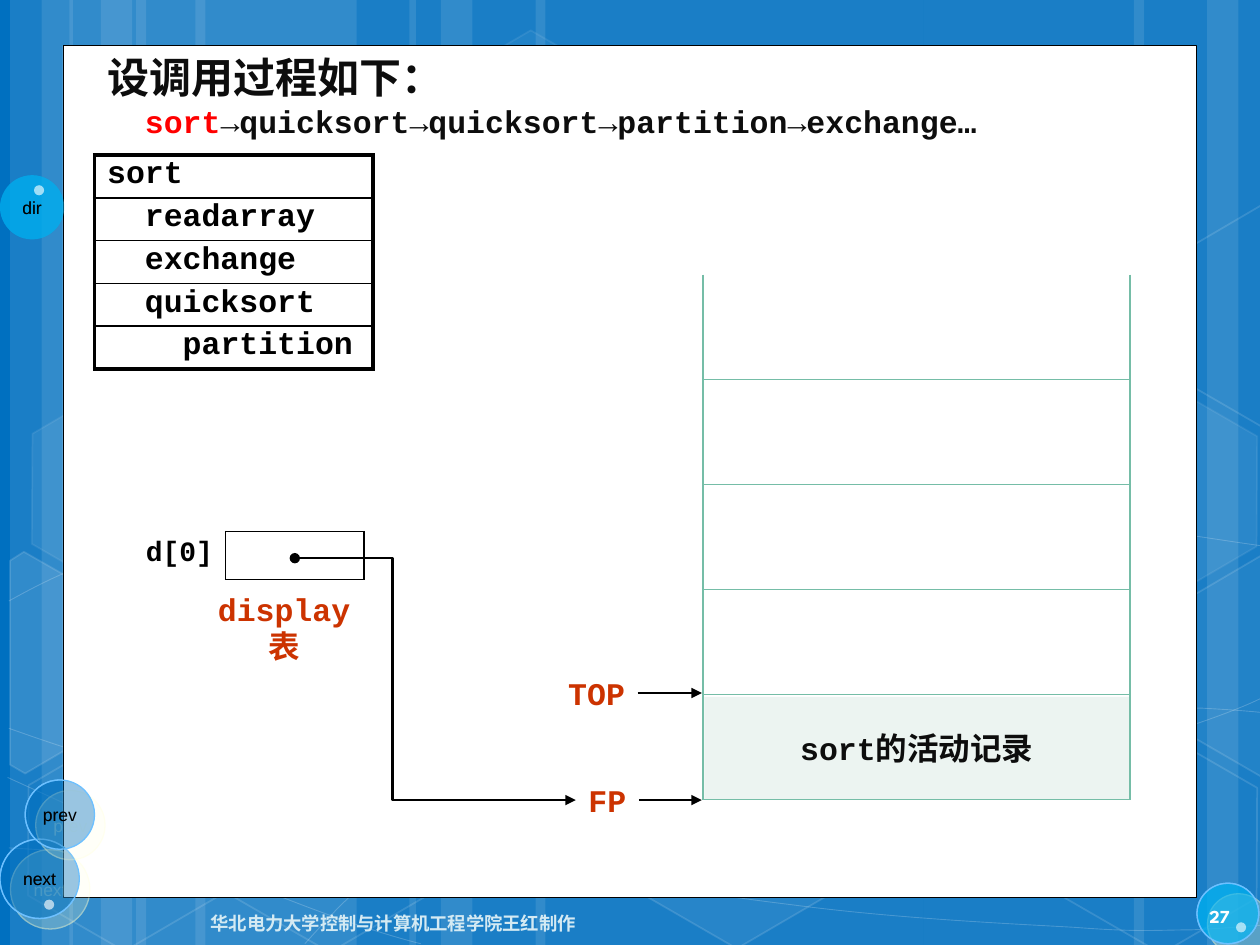
from lxml.etree import SubElement
from pptx import Presentation
from pptx.dml.color import RGBColor
from pptx.enum.shapes import MSO_CONNECTOR, MSO_SHAPE
from pptx.enum.text import MSO_ANCHOR, MSO_AUTO_SIZE, PP_ALIGN
from pptx.oxml.ns import qn
from pptx.util import Inches, Pt

BLACK, WHITE, RED, INK, TEAL = "000000", "FFFFFF", "CC3300", "0D0D0D", "75BDA7"
LEFT, CENTER, RIGHT = PP_ALIGN.LEFT, PP_ALIGN.CENTER, PP_ALIGN.RIGHT
CODE = {"name": "Courier New", "size": Pt(18), "bold": True}
FOOTER = {"name": "League Spartan", "size": Pt(10.5), "bold": True}
BUTTON = {"name": "Arial", "size": Pt(10)}
PLAIN_TABLE = "{2D5ABB26-0587-4C30-8999-92F81FD0307C}"

# left, width of the full-height background stripes
STRIPES = [(1.08, 1.75), (0.08, 0.5), (0.33, 0.83), (1.55, 1.75), (0.55, 0.5), (0.8, 0.83),
           (7.33, 1.75), (9.58, 0.5), (9, 0.83), (4.25, 3.08), (3.25, 0.5), (3.5, 0.83)]
# start point, then two control points and an end point for each cubic segment
CURVES = [
    [(0.07, 6.73), (0.61, 6.76), (1.15, 6.79), (1.9, 6.78), (2.65, 6.77), (3.58, 6.75), (4.58, 6.65),
     (5.58, 6.55), (7, 6.36), (7.92, 6.17), (8.83, 5.98), (9.77, 5.68), (10.07, 5.51)],
    [(0.07, 4.77), (0.36, 4.61), (0.65, 4.46), (1.21, 4.31), (1.78, 4.16), (2.59, 3.94), (3.47, 3.87),
     (4.36, 3.8), (5.44, 3.79), (6.54, 3.87), (7.64, 3.95), (9.47, 4.26), (10.07, 4.34)],
    [(0.06, 6.17), (1.27, 6.72), (2.47, 7.27), (3.34, 7.49)],
    [(0.07, 5.78), (0.38, 5.89), (0.7, 6), (1.28, 6.16), (1.86, 6.31), (2.73, 6.56), (3.57, 6.73),
     (4.4, 6.9), (5.45, 7.08), (6.28, 7.18), (7.11, 7.29), (8, 7.33), (8.53, 7.36),
     (9.05, 7.4), (9.19, 7.38), (9.45, 7.38), (9.71, 7.37), (9.89, 7.35), (10.07, 7.34)],
    [(2.42, 7.49), (2.6, 7.29), (2.78, 7.09), (3.02, 6.91), (3.26, 6.73), (3.6, 6.53), (3.88, 6.39),
     (4.16, 6.25), (4.33, 6.19), (4.7, 6.09), (5.06, 5.99), (5.73, 5.85), (6.08, 5.78),
     (6.44, 5.71), (6.49, 5.71), (6.8, 5.69), (7.11, 5.66), (7.6, 5.63), (7.94, 5.62),
     (8.29, 5.61), (8.86, 5.62), (8.86, 5.62), (9.1, 5.62), (9.3, 5.62), (9.53, 5.62),
     (9.71, 5.63), (9.88, 5.64), (10.06, 5.66)],
]
# left, top, fill opacity, line opacity
HEXAGONS = [(3.34, 0.36, 4, 8), (4.97, 5.89, 6, 12), (0.11, 5.91, 0, 12), (0.14, 3.12, 7, 8),
            (1.74, 5.92, 0, 12), (8.34, 5.93, 0, 12), (8.34, 3.14, 7, 8)]
# points, fill opacity
CUT_HEXAGONS = [
    ([(0.08, 4.45), (0.19, 4.38), (0.96, 4.82), (0.95, 5.7), (0.2, 6.14), (0.08, 6.07)], 10),
    ([(9.26, 4.85), (10.01, 4.41), (10.09, 4.46), (10.09, 6.13), (10.02, 6.17), (9.26, 5.73)], 4),
    ([(9.26, 2.07), (10.01, 1.63), (10.1, 1.68), (10.09, 3.35), (10.02, 3.39), (9.26, 2.95)], 0),
]
# label, left, top, width, height, fill, opacity, ringed
BUTTONS = [("", 9.5, 7.01, 0.49, 0.48, "00B0F0", 50, True),
           ("dir", 0, 1.39, 0.51, 0.51, "00B0F0", 50, False),
           ("next", 0, 6.66, 0.63, 0.63, "0070C0", 40, True),
           ("prev", 0.2, 6.19, 0.55, 0.55, "0070C0", 40, True)]
DOTS = [(0.35, 7.14), (0.27, 1.47), (9.81, 7.32)]

PROCEDURES = [("sort", 0), ("readarray", 1), ("exchange", 1), ("quicksort", 1), ("partition", 2)]
INDENT = 0.3
TITLE = "设调用过程如下："
CALLS = [("sort", "FF0000"), ("→quicksort→quicksort→partition→exchange…", INK)]
POINTERS = [("TOP", 4.41, 5.3, 0.65), ("FP", 4.57, 6.15, 0.5)]

prs = Presentation()
prs.slide_width, prs.slide_height = Inches(10), Inches(7.5)
slide = prs.slides.add_slide(prs.slide_layouts[5])
shapes = slide.shapes


def box(*lengths):
    return [Inches(length) for length in lengths]


def rgb(color):
    return RGBColor.from_string(color)


def paint(shape, fill=None, opacity=100, line=None, width=1, line_opacity=100):
    shape.shadow.inherit = False
    if fill and opacity:
        shape.fill.solid()
        shape.fill.fore_color.rgb = rgb(fill)
    else:
        shape.fill.background()
    if line:
        shape.line.color.rgb = rgb(line)
        shape.line.width = Pt(width)
    else:
        shape.line.fill.background()
    for where, percent in (("a:solidFill", opacity), ("a:ln/a:solidFill", line_opacity)):
        for color in shape._element.spPr.xpath(where + "/a:srgbClr"):
            if percent < 100:
                SubElement(color, qn("a:alpha"), val=str(percent * 1000))
    return shape


def add_run(paragraph, text, color, style):
    run = paragraph.add_run()
    run.text = text
    run.font.color.rgb = rgb(color)
    for key, value in style.items():
        setattr(run.font, key, value)


def write(frame, text, color, style, align=LEFT, anchor=MSO_ANCHOR.MIDDLE, wrap=False):
    frame.word_wrap = wrap
    frame.vertical_anchor = anchor
    frame.paragraphs[0].alignment = align
    add_run(frame.paragraphs[0], text, color, style)


def add_outline(points, closed):
    start, *rest = [box(*point) for point in points]
    builder = shapes.build_freeform(*start)
    builder.add_line_segments(rest, close=closed)
    return builder.convert_to_shape()


def add_curve(points):
    """Turn each three straight segments into one cubic segment."""
    curve = add_outline(points, False)
    segments = curve._element.spPr.xpath(".//a:lnTo")
    for i in range(0, len(segments), 3):
        cubic = SubElement(segments[i].getparent(), qn("a:cubicBezTo"))
        for segment in segments[i:i + 3]:
            cubic.append(segment[0])
            segment.getparent().remove(segment)
    return curve


def add_buttons():
    for label, left, top, width, height, color, opacity, ringed in BUTTONS:
        button = paint(shapes.add_shape(MSO_SHAPE.OVAL, *box(left, top, width, height)),
                       color, opacity, "6DC0FF" if ringed else None, 0.75)
        if ringed:
            effects = button._element.spPr.find(qn("a:effectLst"))
            shadow = SubElement(effects, qn("a:outerShdw"), dist=str(Pt(8.5)), dir="2700000")
            tint = SubElement(shadow, qn("a:srgbClr"), val="FFFFCC")
            SubElement(tint, qn("a:alpha"), val="30000")
        if label:
            write(button.text_frame, label, BLACK, BUTTON, CENTER)
    for left, top in DOTS:
        paint(shapes.add_shape(MSO_SHAPE.OVAL, *box(left, top, 0.08, 0.08)), WHITE, 50)


def add_grid(left, top, widths, row_height, rows):
    grid = shapes.add_table(rows, len(widths), *box(left, top, sum(widths), row_height * rows)).table
    grid.first_row = grid.horz_banding = False
    grid._tbl.tblPr.find(qn("a:tableStyleId")).text = PLAIN_TABLE
    for column, width in zip(grid.columns, widths):
        column.width = Inches(width)
    for row in grid.rows:
        row.height = Inches(row_height)
    return grid


def set_borders(cell, color, **widths):
    """Border widths in points by side, in the order L, R, T, B."""
    cell.fill.background()
    properties = cell._tc.get_or_add_tcPr()
    for place, (side, width) in enumerate(widths.items()):
        line = SubElement(properties, qn("a:ln" + side), w=str(Pt(width)))
        SubElement(SubElement(line, qn("a:solidFill")), qn("a:srgbClr"), val=color)
        properties.insert(place, line)


def add_arrow(kind, x1, y1, x2, y2, head=None):
    arrow = shapes.add_connector(kind, *box(x1, y1, x2, y2))
    arrow.line.color.rgb = rgb(BLACK)
    arrow.line.width = Pt(1.5)
    properties = arrow._element.spPr
    line = properties.find(qn("a:ln"))
    if head:
        SubElement(line, qn("a:headEnd"), type=head)
    SubElement(line, qn("a:tailEnd"), type="triangle")
    SubElement(properties, qn("a:effectLst"))
    return arrow


# Background and panel
slide.background.fill.solid()
slide.background.fill.fore_color.rgb = rgb("0070C0")
for left, width in STRIPES:
    paint(shapes.add_shape(MSO_SHAPE.RECTANGLE, *box(left, 0, width, 7.5)), WHITE, 10)
for points in CURVES:
    paint(add_curve(points), line=WHITE, width=0.5, line_opacity=20)
for left, top, opacity, line_opacity in HEXAGONS:
    hexagon = shapes.add_shape(MSO_SHAPE.HEXAGON, *box(left, top, 1.75, 1.52))
    hexagon.rotation = 30
    hexagon.adjustments[0] = 0.285
    paint(hexagon, WHITE, opacity, WHITE, 1, line_opacity)
for points, opacity in CUT_HEXAGONS:
    paint(add_outline(points, True), WHITE, opacity, WHITE, 1, 12)
add_buttons()
paint(shapes.add_shape(MSO_SHAPE.RECTANGLE, *box(0.5, 0.36, 9, 6.76)), WHITE, line=BLACK, width=0.5)
add_buttons()
for text, color, align, place in (
        ("华北电力大学控制与计算机工程学院王红制作", "D4EAF3", RIGHT, (0.95, 7.13, 3.72, 0.4)),
        ("27", "FEFEFE", LEFT, (9.5, 7.07, 0.47, 0.4))):
    write(shapes.add_textbox(*box(*place)).text_frame, text, color, FOOTER, align, wrap=True)

# Stack of activation records
stack = add_grid(5.58, 2.18, [3.39], 4.165 / 5, 5)
for row in range(5):
    set_borders(stack.cell(row, 0), TEAL, **dict.fromkeys("LRTB" if row else "LRB", 1))
record = paint(shapes.add_shape(MSO_SHAPE.RECTANGLE, *box(5.59, 5.53, 3.37, 0.81)), "ECF4F1")
write(record.text_frame, "sort的活动记录", INK, CODE, CENTER)

# Display table
display = add_grid(0.92, 4.22, [0.87, 1.1], 0.38, 1)
label, slot = display.cell(0, 0), display.cell(0, 1)
set_borders(label, BLACK, R=1)
set_borders(slot, BLACK, **dict.fromkeys("LRTB", 1))
slot.margin_top = slot.margin_bottom = 0
label.text_frame.paragraphs[0].alignment = RIGHT
add_run(label.text_frame.paragraphs[0], "d[0]", BLACK, {**CODE, "size": Pt(16)})
caption = shapes.add_textbox(*box(1.63, 4.63, 1.51, 0.4)).text_frame
caption.margin_right = Inches(0.36)
write(caption, "display表", RED, CODE, CENTER, MSO_ANCHOR.TOP, True)

# Pointers
for name, left, top, width in POINTERS:
    pointer = shapes.add_textbox(*box(left, top, width, 0.4))
    write(pointer.text_frame, name, RED, CODE, CENTER, MSO_ANCHOR.TOP)
    middle = top + 0.2
    add_arrow(MSO_CONNECTOR.STRAIGHT, left + width, middle, 5.57, middle).begin_connect(pointer, 3)
    if name == "FP":
        link = add_arrow(MSO_CONNECTOR.ELBOW, 2.34, 4.43, left, middle, "oval")
        link.end_connect(pointer, 1)
        guides = link._element.spPr.find(qn("a:prstGeom")).get_or_add_avLst()
        SubElement(guides, qn("a:gd"), name="adj1", fmla="val 34700")

# Procedure nesting
nesting = add_grid(0.75, 1.23, [2.21], 0.34, len(PROCEDURES))
for row, (name, level) in enumerate(PROCEDURES):
    cell = nesting.cell(row, 0)
    cell.margin_left = Inches(0.1 + INDENT * level)
    cell.margin_right = 0
    cell.margin_top = cell.margin_bottom = Inches(0.02)
    add_run(cell.text_frame.paragraphs[0], name, BLACK, CODE)
    set_borders(cell, BLACK, L=2.25, R=2.25, T=1 if row else 2.25,
                B=2.25 if row == len(PROCEDURES) - 1 else 1)

# Title and call chain
title = shapes.title
title.left, title.top, title.width, title.height = box(0.75, 0.36, 7.29, 0.81)
write(title.text_frame, TITLE, INK, {**CODE, "size": Pt(24)}, anchor=MSO_ANCHOR.TOP)
title.text_frame.auto_size = MSO_AUTO_SIZE.NONE
chain = title.text_frame.add_paragraph()
chain.alignment = LEFT
chain._p.get_or_add_pPr().set("marL", str(Inches(INDENT)))
for text, color in CALLS:
    add_run(chain, text, color, CODE)
shapes._spTree.append(title._element)

prs.save("out.pptx")
